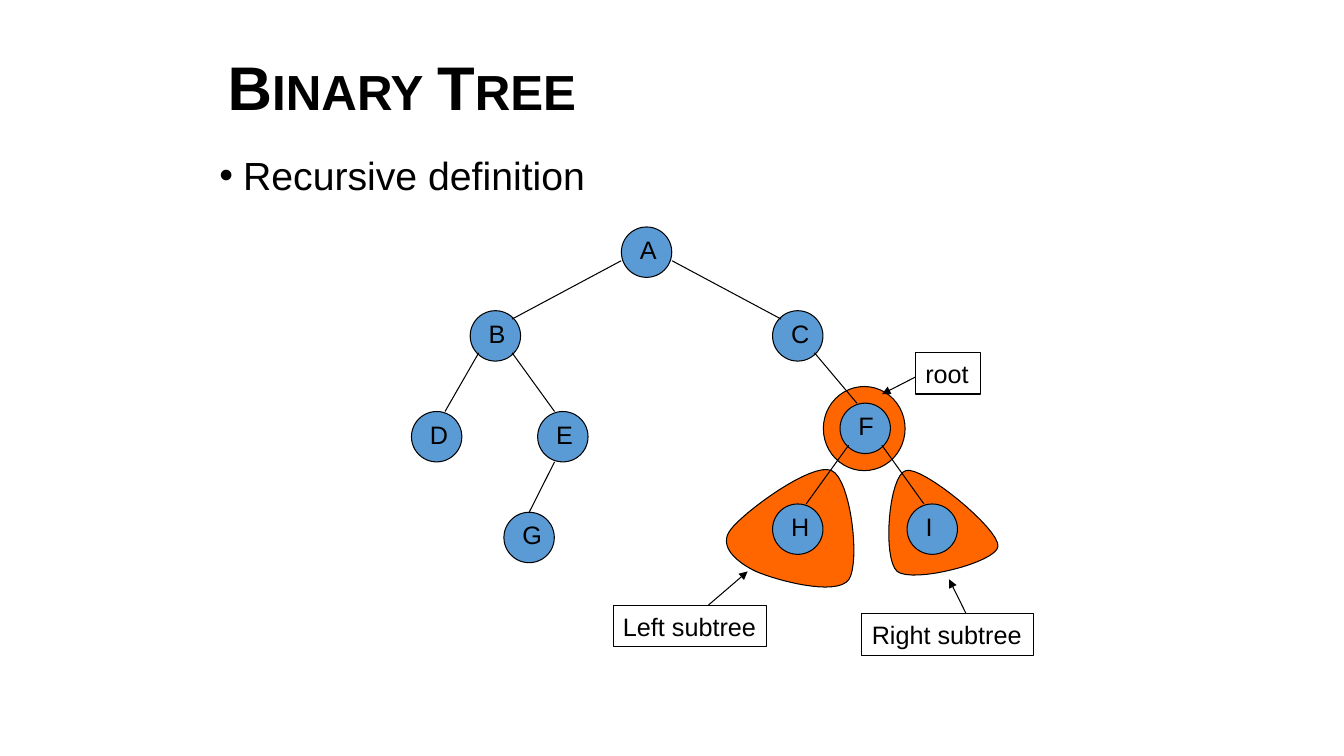
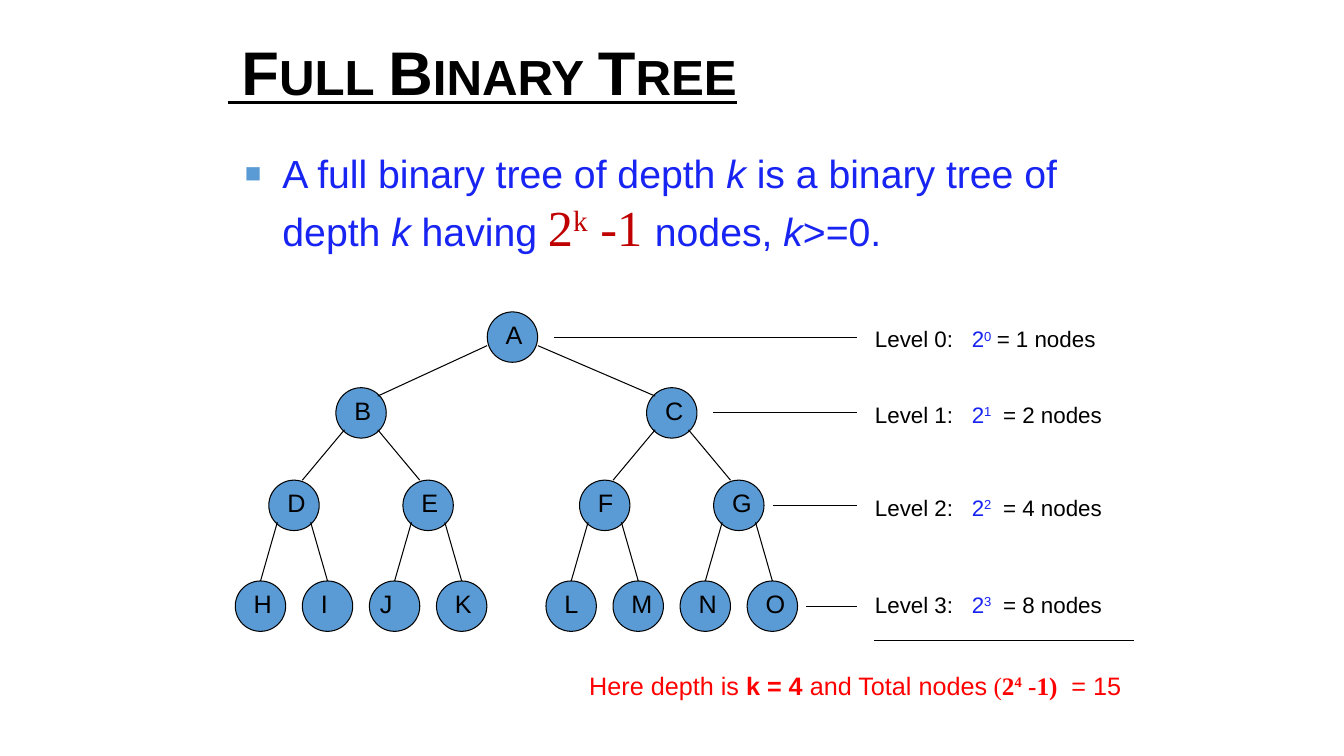
from dataclasses import dataclass

from lxml import etree
from pptx import Presentation
from pptx import util as u
from pptx.dml.color import RGBColor
from pptx.enum import shapes, text
from pptx.oxml import ns

Cm, Pt = u.Cm, u.Pt


@dataclass(frozen=True)
class Theme:
    sans: str = "Arial"
    serif: str = "Times New Roman"
    ink: str = "000000"
    node: str = "5B9BD5"
    region: str = "FF6600"
    blue: str = "1724F2"
    dark_red: str = "C00000"
    red: str = "FF0000"
    title: int = 44
    formula: int = 36
    body: int = 28
    label: int = 18
    level: int = 16
    line: float = 0.75
    thin: float = 0.5


T = Theme()
NODE = 1.27  # diameter of a tree node, cm

# Edge ends: parent offset from centre and from top, then the same for the child
SIDE = (0.64, 0.85, 0.42, 0.21)
LOWER = (0.42, 1.06, 0.21, 0)
LEAF = (0.42, 1.06, 0, 0)
UNDER = (0.21, 1.27, 0, 0)

# Slide 1 content
BINARY_NODES = {
    "A": (15.66, 5.72), "B": (11.85, 7.83), "C": (19.47, 7.83),
    "D": (10.37, 10.37), "E": (13.55, 10.37), "F": (21.17, 10.16),
    "G": (12.7, 12.91), "H": (19.47, 12.7), "I": (22.86, 12.7),
}
BINARY_EDGES = [("AB", SIDE), ("AC", SIDE), ("BD", LOWER), ("BE", LOWER),
                ("EG", UNDER), ("CF", LOWER), ("FH", LOWER), ("FI", LOWER)]
ROOT_RING = (20.75, 9.74, 2.06, 2.12)
# Each outline: a start point, then curves of two control points and an end
SUBTREES = [
    [(20.96, 11.86),
     (20.47, 11.63), (18.75, 12.9), (18.42, 13.34),
     (18.08, 13.76), (18.57, 14.17), (19.05, 14.4),
     (19.53, 14.61), (21.06, 15.04), (21.39, 14.61),
     (21.69, 14.17), (21.44, 12.07), (20.96, 11.86)],
    [(22.83, 11.86),
     (22.4, 11.96), (22.23, 14.07), (22.61, 14.4),
     (23.01, 14.71), (25.12, 14.17), (25.15, 13.77),
     (25.2, 13.34), (23.24, 11.73), (22.83, 11.86)],
]
# Label, left, top, width, arrow start, arrow tip
CALLOUTS = [
    ("root", 23.07, 8.89, 1.63, (23.07, 9.5), (22.23, 9.93)),
    ("Right subtree", 21.72, 15.47, 4.32, (24.34, 15.45), (23.92, 14.6)),
    ("Left subtree", 15.45, 15.26, 3.88, (17.85, 15.25), (18.84, 14.4)),
]

# Slide 2 content
LEVEL_TOPS = [7.86, 9.77, 12.1, 14.64]
LEVEL_NAMES = ["A", "BC", "DEFG", "HIJKLMNO"]
LEVEL_EDGES = [SIDE, LOWER, LEAF]
# Line start, label top, tab stop of the equals sign
LEVEL_NOTES = [(13.97, 8.08, 3.07), (17.98, 9.98, 3.23),
               (19.48, 12.32, 3.23), (20.32, 14.76, 3.23)]
FORMULA = {"size": T.formula, "font": T.serif, "color": T.dark_red}
ITALIC = {"italic": True}
DEFINITION = [
    ("A full binary tree of depth ", {}), ("k", ITALIC),
    (" is a binary tree of depth ", {}), ("k", ITALIC), (" having ", {}),
    ("2", FORMULA), ("k", {**FORMULA, "sup": True}), (" -1 ", FORMULA),
    ("nodes, ", {}), ("k", ITALIC), (">=0.", {}),
]
SERIF_BOLD = {"font": T.serif, "bold": True}
TOTAL = [
    ("Here depth is ", {}), ("k = 4 ", {"bold": True}), ("and Total nodes", {}),
    (" (", {"font": T.serif}), ("2", SERIF_BOLD),
    ("4", {**SERIF_BOLD, "sup": True}), (" -1)", SERIF_BOLD), ("\t= 15", {}),
]


# Text helpers
def set_font(font, size=None, color=None, name=None):
    if size:
        font.size = Pt(size)
    if color:
        font.color.rgb = RGBColor.from_string(color)
    if name:
        font.name = name


def add_ppr(p, tag, **attrs):
    return etree.SubElement(p._p.get_or_add_pPr(), ns.qn(tag), attrs)


def add_bullet(p, char, color, indent, percent=100):
    p._p.get_or_add_pPr().set("marL", str(Cm(indent)))
    p._p.get_or_add_pPr().set("indent", str(-Cm(indent)))
    etree.SubElement(add_ppr(p, "a:buClr"), ns.qn("a:srgbClr"), val=color)
    add_ppr(p, "a:buSzPct", val=str(percent * 1000))
    add_ppr(p, "a:buFont", typeface=T.sans)
    add_ppr(p, "a:buChar", char=char)


def add_tabs(p, stops):
    tabs = add_ppr(p, "a:tabLst")
    for stop in stops:
        etree.SubElement(tabs, ns.qn("a:tab"), pos=str(Cm(stop)), algn="l")


def write(p, runs, size, color=T.ink):
    set_font(p.font, size, color, T.sans)
    for words, look in runs:
        r = p.add_run()
        r.text = words
        set_font(r.font, look.get("size"), look.get("color"), look.get("font"))
        for key in ("bold", "italic", "underline"):
            if key in look:
                setattr(r.font, key, look[key])
        if look.get("sup"):
            r.font._element.set("baseline", "30000")
        if look.get("caps"):
            r.font._element.set("cap", "small")


def add_text(s, left, top, width, height):
    tf = s.shapes.add_textbox(Cm(left), Cm(top), Cm(width), Cm(height)).text_frame
    tf.word_wrap = True
    return tf


def add_title(s, words, top, underline=False):
    tf = add_text(s, 5.49, top, 22.86, 2.54)
    tf.vertical_anchor = text.MSO_ANCHOR.MIDDLE
    p = tf.paragraphs[0]
    p.line_spacing = 0.9
    write(p, [(words, {"bold": True, "underline": underline, "caps": True})], T.title)


# Drawing helpers
def paint(sp, fill=None):
    sp.shadow.inherit = False
    if fill:
        sp.fill.solid()
        sp.fill.fore_color.rgb = RGBColor.from_string(fill)
    else:
        sp.fill.background()
    sp.line.color.rgb = RGBColor.from_string(T.ink)
    sp.line.width = Pt(T.line)


def add_shape(s, kind, box, fill=None):
    sp = s.shapes.add_shape(kind, *map(Cm, box))
    paint(sp, fill)
    return sp


def label_shape(sp, words):
    p = sp.text_frame.paragraphs[0]
    p.alignment = text.PP_ALIGN.LEFT
    write(p, [(words, {})], T.label)


def add_line(s, start, end, width=T.line, arrow=False):
    c = s.shapes.add_connector(shapes.MSO_CONNECTOR.STRAIGHT, *map(Cm, start + end))
    c.line.color.rgb = RGBColor.from_string(T.ink)
    c.line.width = Pt(width)
    if arrow:
        etree.SubElement(c.line._get_or_add_ln(), ns.qn("a:tailEnd"), type="triangle")
    etree.SubElement(c._element.spPr, ns.qn("a:effectLst"))


def add_curved_region(s, outline, steps=16):
    points = [outline[0]]
    for i in range(0, len(outline) - 1, 3):
        curve = outline[i:i + 4]
        for n in range(1, steps + 1):
            t = n / steps
            weights = ((1 - t) ** 3, 3 * t * (1 - t) ** 2, 3 * t * t * (1 - t), t ** 3)
            points.append(tuple(sum(w * pt[axis] for w, pt in zip(weights, curve))
                                for axis in (0, 1)))
    points = [(Cm(x), Cm(y)) for x, y in points]
    builder = s.shapes.build_freeform(*points[0])
    builder.add_line_segments(points[1:], close=True)
    paint(builder.convert_to_shape(), T.region)


def add_tree(s, nodes, edges):
    for name, (x, y) in nodes.items():
        sp = add_shape(s, shapes.MSO_SHAPE.OVAL, (x, y, NODE, NODE), T.node)
        tf = sp.text_frame
        tf.vertical_anchor = text.MSO_ANCHOR.TOP
        tf.margin_left = Cm(0.08 if name == "J" else 0.28)
        tf.margin_top = tf.margin_right = tf.margin_bottom = 0
        label_shape(sp, name)
    for (parent, child), (out_x, out_y, in_x, in_y) in edges:
        (px, py), (cx, cy) = nodes[parent], nodes[child]
        side = 1 if cx > px else -1
        add_line(s, (px + NODE / 2 + side * out_x, py + out_y),
                 (cx + NODE / 2 - side * in_x, cy + in_y))


def full_tree():
    """Place leaves in two groups of four and each parent midway over its children."""
    xs = [5.93 + 1.69 * (i % 4) + 7.83 * (i // 4) for i in range(8)]
    rows = [xs]
    while len(xs) > 1:
        xs = [(a + b) / 2 for a, b in zip(xs[::2], xs[1::2])]
        rows.insert(0, xs)
    rows[0][0] -= 0.1  # the root stands slightly left of the middle
    nodes = {name: (x, top) for names, row, top in zip(LEVEL_NAMES, rows, LEVEL_TOPS)
             for name, x in zip(names, row)}
    edges = [(LEVEL_NAMES[d][i // 2] + child, style)
             for d, style in enumerate(LEVEL_EDGES)
             for i, child in enumerate(LEVEL_NAMES[d + 1])]
    return nodes, edges


# Slides
def binary_tree_slide(s):
    for outline in SUBTREES:
        add_curved_region(s, outline)
    add_shape(s, shapes.MSO_SHAPE.OVAL, ROOT_RING, T.region)
    add_title(s, "Binary Tree", 1.02)
    p = add_text(s, 5.28, 3.81, 22.86, 1.47).paragraphs[0]
    p.line_spacing = 0.9
    add_bullet(p, "•", T.ink, 0.6)
    write(p, [("Recursive definition", {})], T.body)
    add_tree(s, BINARY_NODES, BINARY_EDGES)
    for words, left, top, width, start, tip in CALLOUTS:
        sp = add_shape(s, shapes.MSO_SHAPE.RECTANGLE, (left, top, width, 1.04))
        sp.text_frame.word_wrap = False
        label_shape(sp, words)
        add_line(s, start, tip, arrow=True)


def full_tree_slide(s):
    add_title(s, " Full Binary Tree", 0.64, underline=True)
    p = add_text(s, 5.92, 3.63, 22.02, 3).paragraphs[0]
    add_bullet(p, "■", T.node, 0.95, 70)
    write(p, DEFINITION, T.body, T.blue)
    add_tree(s, *full_tree())
    # Level notes
    for n, (start, top, equals) in enumerate(LEVEL_NOTES):
        y = LEVEL_TOPS[n] + NODE / 2
        add_line(s, (start, y), (21.59, y))
        p = add_text(s, 21.8, top, 7, 0.94).paragraphs[0]
        add_tabs(p, (2.44, equals))
        write(p, [(f"Level {n}:\t", {}), ("2", {"color": T.blue}),
                  (str(n), {"color": T.blue, "sup": True}),
                  (f"\t= {2 ** n} nodes", {})], T.level)
    # Total
    add_line(s, (22.02, 16.13), (28.58, 16.13), T.thin)
    p = add_text(s, 14.6, 16.76, 14.6, 1.02).paragraphs[0]
    add_tabs(p, (12.15,))
    write(p, TOTAL, T.label, T.red)


def main():
    prs = Presentation()
    prs.slide_width, prs.slide_height = Cm(33.87), Cm(19.05)
    for build in (binary_tree_slide, full_tree_slide):
        build(prs.slides.add_slide(prs.slide_layouts[6]))
    prs.save("out.pptx")


if __name__ == "__main__":
    main()
